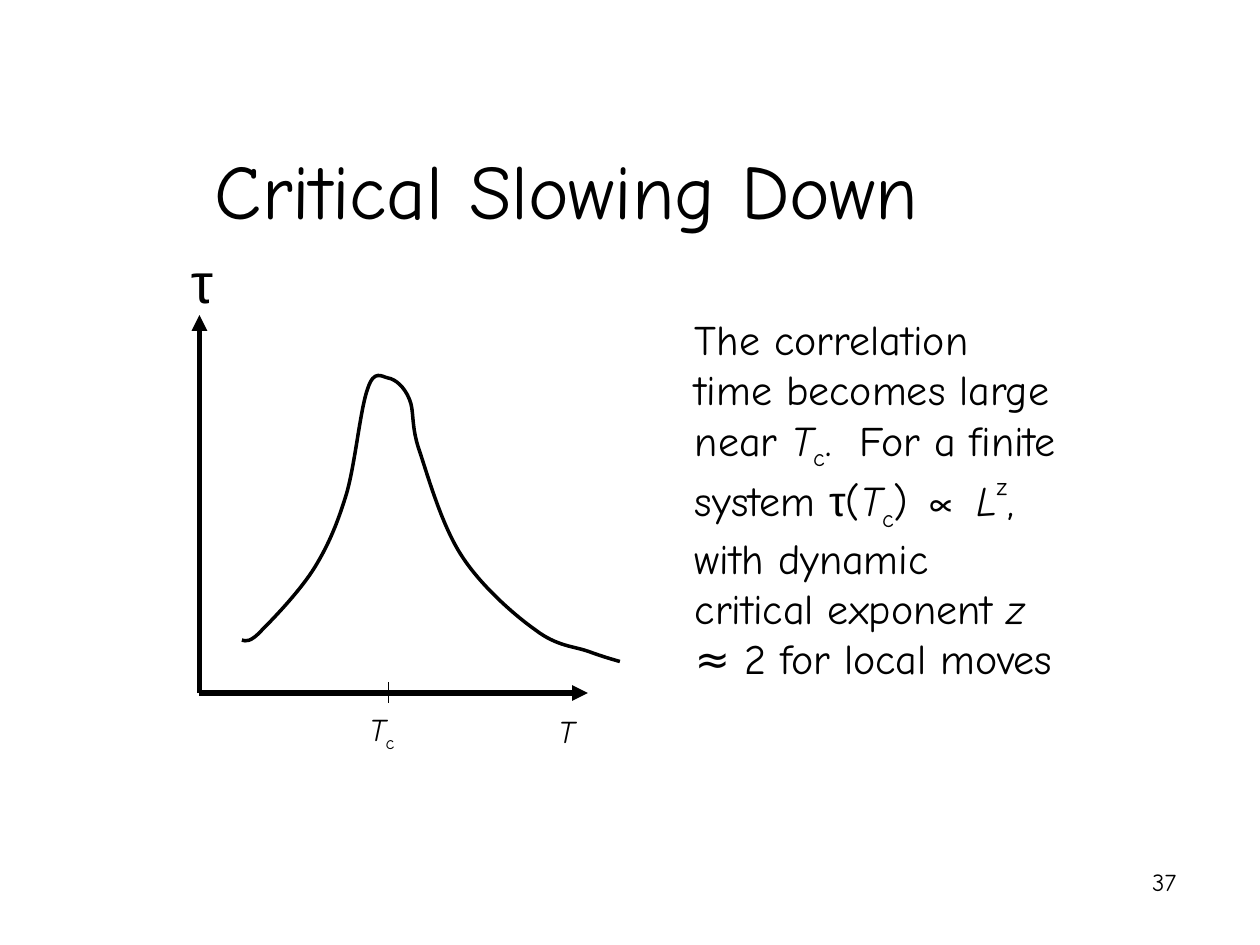
from dataclasses import dataclass

from lxml import etree
from pptx import Presentation
from pptx import util as u
from pptx.dml.color import RGBColor
from pptx.enum import shapes, text
from pptx.oxml import ns

COLS, ROWS = 120, 90  # grid over the slide: twelve units to the inch


@dataclass(frozen=True)
class Theme:
    ink: RGBColor = RGBColor(0, 0, 0)
    font: str = "Comic Neue"
    symbol_font: str = "Arial"
    title: int = 44
    axis_symbol: int = 32
    body: int = 24
    label: int = 18
    number: int = 14
    axis_width: float = 3
    curve_width: float = 2
    tick_width: float = 0.75


@dataclass(frozen=True)
class Run:
    text: str
    italic: bool = False
    symbol: bool = False
    shift: int = 0  # baseline shift in percent


@dataclass(frozen=True)
class Label:
    box: tuple  # column, row, columns wide, rows high
    runs: list
    size: int
    align: text.PP_ALIGN = text.PP_ALIGN.LEFT
    grow: bool = True


@dataclass(frozen=True)
class Stroke:
    start: tuple
    end: tuple
    width: float
    arrow: bool = False


THEME = Theme()
prs = Presentation()
prs.slide_width, prs.slide_height = u.Inches(10), u.Inches(7.5)


def x(col: float) -> int:
    return round(prs.slide_width * col / COLS)


def y(row: float) -> int:
    return round(prs.slide_height * row / ROWS)


def write(sp, runs: list, *, size: int, align=text.PP_ALIGN.LEFT,
          anchor=text.MSO_ANCHOR.TOP, fit=text.MSO_AUTO_SIZE.NONE) -> None:
    """Fill a shape with one paragraph of formatted runs."""
    tf = sp.text_frame
    tf.word_wrap, tf.auto_size, tf.vertical_anchor = True, fit, anchor
    p = tf.paragraphs[0]
    p.alignment = align
    for part in runs:
        r = p.add_run()
        r.text = part.text
        r.font.name = THEME.symbol_font if part.symbol else THEME.font
        r.font.size = u.Pt(size)
        r.font.italic = part.italic
        r.font.color.rgb = THEME.ink
        if part.shift:
            r.font._element.set("baseline", str(part.shift * 1000))


def place(sp, box: tuple) -> None:
    sp.left, sp.top, sp.width, sp.height = x(box[0]), y(box[1]), x(box[2]), y(box[3])


def add_label(slide, label: Label) -> None:
    sp = slide.shapes.add_textbox(0, 0, 0, 0)
    fit = text.MSO_AUTO_SIZE.SHAPE_TO_FIT_TEXT if label.grow else text.MSO_AUTO_SIZE.NONE
    write(sp, label.runs, size=label.size, align=label.align, fit=fit)
    place(sp, label.box)


def set_line(sp, width: float) -> None:
    sp.line.color.rgb = THEME.ink
    sp.line.width = u.Pt(width)


def add_stroke(slide, stroke: Stroke) -> None:
    (c1, r1), (c2, r2) = stroke.start, stroke.end
    line = slide.shapes.add_connector(shapes.MSO_CONNECTOR.STRAIGHT, x(c1), y(r1), x(c2), y(r2))
    set_line(line, stroke.width)
    if stroke.arrow:
        etree.SubElement(line.line._get_or_add_ln(), ns.qn("a:tailEnd"), type="triangle")
    etree.SubElement(line._element.spPr, ns.qn("a:effectLst"))


def add_curve(slide, points: list, width: float) -> None:
    """Draw cubic Béziers: a start point, then two handles and an end per piece."""
    start, *rest = [(u.Inches(px), u.Inches(py)) for px, py in points]
    builder = slide.shapes.build_freeform(*start)
    builder.add_line_segments(rest, close=False)
    sp = builder.convert_to_shape()
    steps = list(sp._element.iter(ns.qn("a:lnTo")))
    for i in range(0, len(steps), 3):
        piece = etree.Element(ns.qn("a:cubicBezTo"))
        steps[i].addprevious(piece)
        for step in steps[i:i + 3]:
            piece.append(step[0])
            step.getparent().remove(step)
    sp.fill.background()
    set_line(sp, width)
    sp.shadow.inherit = False


# Content
ORIGIN, TC_COL = (19, 66), 37
T, C = Run("T", italic=True), Run("c", shift=-25)
TAU = Run("τ", symbol=True)

STROKES = [
    Stroke(ORIGIN, (56, 66), THEME.axis_width, arrow=True),
    Stroke(ORIGIN, (19, 30), THEME.axis_width, arrow=True),
    Stroke((TC_COL, 65), (TC_COL, 67), THEME.tick_width),
]

# Correlation time against temperature, in inches
CURVE = [
    (1.92, 5.08),
    (1.95, 5.09), (1.99, 5.1), (2.08, 5),
    (2.18, 4.9), (2.39, 4.68), (2.5, 4.5),
    (2.61, 4.32), (2.68, 4.15), (2.75, 3.92),
    (2.82, 3.68), (2.86, 3.24), (2.92, 3.08),
    (2.97, 2.93), (3.03, 2.99), (3.08, 3),
    (3.14, 3.01), (3.21, 3.07), (3.25, 3.17),
    (3.29, 3.26), (3.26, 3.38), (3.33, 3.58),
    (3.4, 3.79), (3.51, 4.18), (3.67, 4.42),
    (3.82, 4.65), (4.08, 4.88), (4.25, 5),
    (4.42, 5.13), (4.56, 5.13), (4.67, 5.17),
    (4.78, 5.21), (4.85, 5.23), (4.92, 5.25),
]

BODY = [
    Run("The correlation time becomes large near "), T, C,
    Run(".  For a finite system "), TAU, Run("("), T, C, Run(") "),
    Run("∝ ", symbol=True), Run("L", italic=True), Run("z", shift=50),
    Run(", with dynamic critical exponent "), Run("z", italic=True),
    Run(" ≈ 2 for local moves"),
]

LABELS = [
    Label((34, 67, 7, 5.25), [T, C], THEME.label),
    Label((52, 67.25, 7, 4.75), [T], THEME.label),
    Label((17, 23, 10, 7.7), [TAU], THEME.axis_symbol),
    Label((65, 29.25, 37, 41.25), BODY, THEME.body),
    Label((88.2, 82, 25, 6), [Run("37")], THEME.number, text.PP_ALIGN.RIGHT, grow=False),
]


def main() -> None:
    slide = prs.slides.add_slide(prs.slide_layouts[5])

    # Title
    title = slide.shapes.title
    place(title, (9, 2, 90, 21))
    write(title, [Run("Critical Slowing Down")], size=THEME.title,
          align=text.PP_ALIGN.CENTER, anchor=text.MSO_ANCHOR.BOTTOM)

    # Graph
    for stroke in STROKES:
        add_stroke(slide, stroke)
    add_curve(slide, CURVE, THEME.curve_width)

    # Axis labels, explanation and slide number
    for label in LABELS:
        add_label(slide, label)

    prs.save("out.pptx")


if __name__ == "__main__":
    main()
